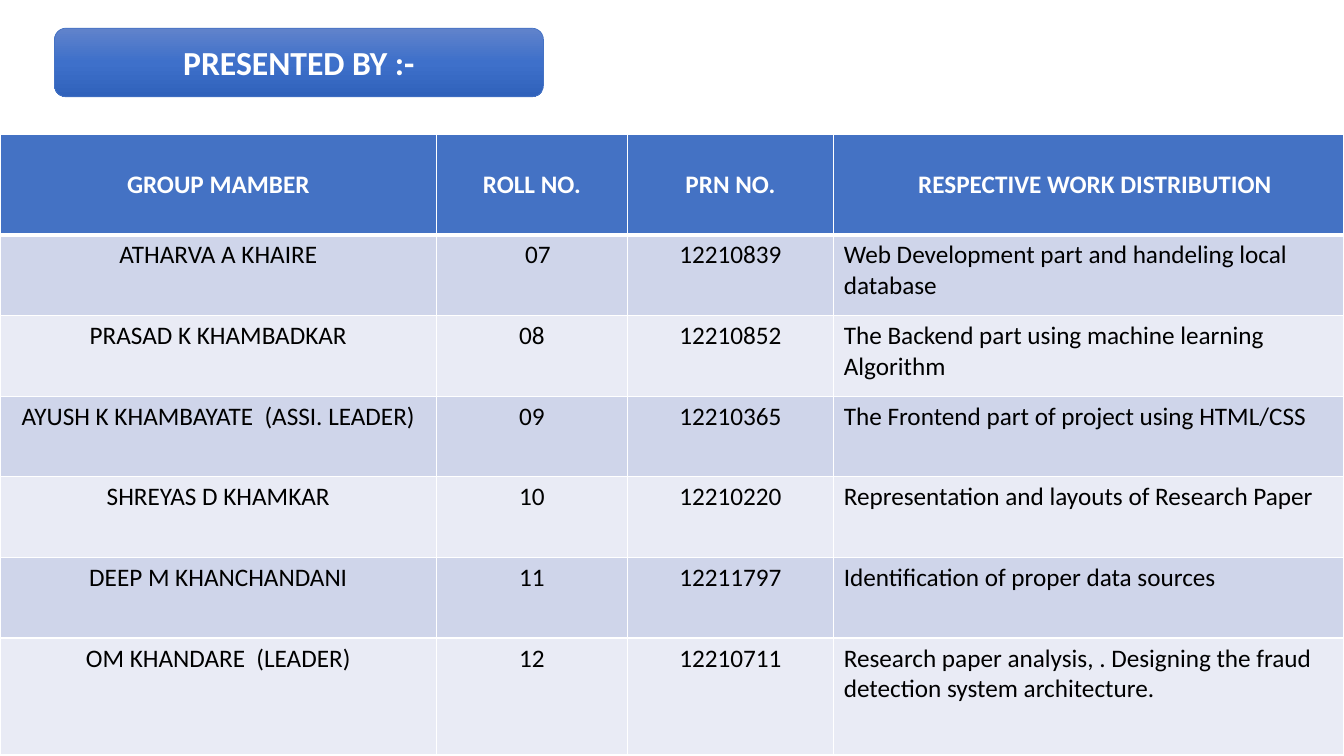
from lxml.etree import SubElement
from copy import deepcopy
from pptx import Presentation
from pptx.dml.color import RGBColor
from pptx.enum.shapes import MSO_SHAPE
from pptx.enum.text import MSO_ANCHOR, MSO_AUTO_SIZE, PP_ALIGN
from pptx.oxml.ns import qn
from pptx.util import Inches, Pt

WHITE = "FFFFFF"
BLUE = "4472C4"
BANDS = ["E9EBF5", "CFD5EA"]
WIDTHS = [4.33, 1.89, 2.05, 5.06]
HEIGHTS = [1] + [0.8] * 5 + [1.16]
ROWS = [
    ("GROUP MAMBER", "ROLL NO.", "PRN NO.", "RESPECTIVE WORK DISTRIBUTION"),
    ("ATHARVA A KHAIRE", "07", "12210839",
     "Web Development part and handeling local database"),
    ("PRASAD K KHAMBADKAR", "08", "12210852",
     "The Backend part using machine learning Algorithm"),
    ("AYUSH K KHAMBAYATE  (ASSI. LEADER)", "09", "12210365",
     "The Frontend part of project using HTML/CSS"),
    ("SHREYAS D KHAMKAR", "10", "12210220",
     "Representation and layouts of Research Paper"),
    ("DEEP M KHANCHANDANI", "11", "12211797",
     "Identification of proper data sources"),
    ("OM KHANDARE  (LEADER)", "12", "12210711",
     "Research paper analysis, . Designing the fraud detection system architecture."),
]
SHIFTED = [(0, 3), (1, 1)]  # cells whose text sits slightly right of centre


def style(para, size, color, bold, align):
    para.alignment = align
    para.font.name = "Calibri"
    para.font.size = Pt(size)
    para.font.bold = bold
    para.font.color.rgb = RGBColor.from_string(color)


def border(cell, side, points):
    line = SubElement(cell._tc.get_or_add_tcPr(), qn("a:ln" + side), w=str(Pt(points)))
    SubElement(SubElement(line, qn("a:solidFill")), qn("a:srgbClr"), val=WHITE)


deck = Presentation()
deck.slide_width = Inches(13.33)
deck.slide_height = Inches(7.5)
slide = deck.slides.add_slide(deck.slide_layouts[5])

# Banner behind the title
place = Inches(0.54), Inches(0.28), Inches(4.85), Inches(0.68)
banner = slide.shapes.add_shape(MSO_SHAPE.ROUNDED_RECTANGLE, *place)
banner.shadow.inherit = False
banner.fill.gradient()
banner.fill.gradient_angle = 270
first = banner._element.spPr.find(".//" + qn("a:gs"))
first.addnext(deepcopy(first))
shades = [(0, "6183CB"), (0.5, "3E70CA"), (1, "3062BB")]
for stop, (point, color) in zip(banner.fill.gradient_stops, shades):
    stop.position = point
    stop.color.rgb = RGBColor.from_string(color)
banner.line.color.rgb = RGBColor.from_string(BLUE)
banner.line.width = Pt(0.5)

title = slide.shapes.title
title._element.addprevious(banner._element)
title.left, title.top, title.width, title.height = place
title.text = "PRESENTED BY :-"
title.text_frame.auto_size = MSO_AUTO_SIZE.NONE
title.text_frame.vertical_anchor = MSO_ANCHOR.MIDDLE
style(title.text_frame.paragraphs[0], 24, WHITE, True, PP_ALIGN.CENTER)

# Group table
table = slide.shapes.add_table(
    len(ROWS), len(WIDTHS), Inches(0), Inches(1.33),
    Inches(sum(WIDTHS)), Inches(sum(HEIGHTS))).table
for column, width in zip(table.columns, WIDTHS):
    column.width = Inches(width)

for r, texts in enumerate(ROWS):
    table.rows[r].height = Inches(HEIGHTS[r])
    head = r == 0
    for c, text in enumerate(texts):
        cell = table.cell(r, c)
        for side in "LRTB":
            thick = (head and side == "B") or (r == 1 and side == "T")
            border(cell, side, 3 if thick else 1)
        cell.fill.solid()
        cell.fill.fore_color.rgb = RGBColor.from_string(BLUE if head else BANDS[r % 2])
        cell.text = text
        cell.vertical_anchor = MSO_ANCHOR.MIDDLE if head else MSO_ANCHOR.TOP
        if (r, c) in SHIFTED:
            cell.margin_left = Inches(0.22)
        left = c == 3 and not head
        style(cell.text_frame.paragraphs[0], 18, WHITE if head else "000000", head,
              PP_ALIGN.LEFT if left else PP_ALIGN.CENTER)

deck.save("out.pptx")
